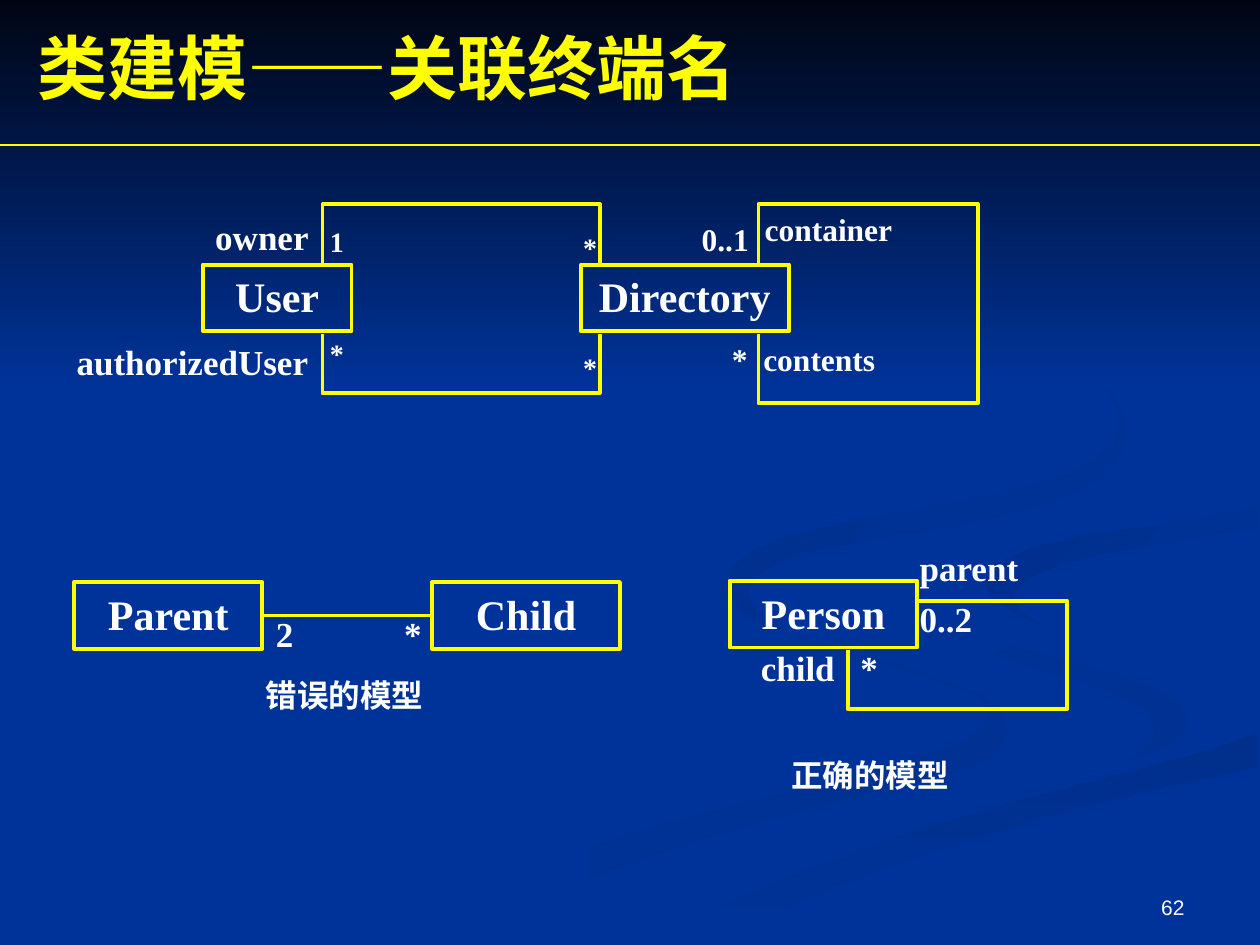
from lxml import etree
from pptx import Presentation
from pptx.dml.color import RGBColor
from pptx.enum import shapes, text
from pptx.oxml import ns
from pptx.util import Inches, Pt

BLUE = RGBColor(0x00, 0x33, 0x99)
NIGHT = RGBColor(0x00, 0x05, 0x14)
SHADE = RGBColor(0x00, 0x2F, 0x8C)
SOFT_SHADE = RGBColor(0x00, 0x31, 0x93)
YELLOW = RGBColor(0xFF, 0xFF, 0x00)
WHITE = RGBColor(0xFF, 0xFF, 0xFF)
SERIF = "Times New Roman"
SANS = "Arial"
CLASS_HEIGHT = 0.53

LOWER_SWIRL = [
    (7.81, 5.53), (7.57, 5.43), (7.15, 5.28), (6.61, 5.13), (6.26, 5.02), (6.02, 4.9),
    (5.83, 4.77), (5.75, 4.66), (5.75, 4.59), (5.7, 4.68), (5.76, 4.8), (5.93, 4.91),
    (6.31, 5.05), (6.97, 5.25), (7.41, 5.39), (7.76, 5.53), (7.85, 5.62), (7.83, 5.74),
    (7.67, 5.87), (7.39, 5.98), (6.84, 6.13), (5.79, 6.39), (4.99, 6.61), (4.17, 6.9),
    (3.38, 7.27), (3, 7.49), (3.61, 7.49), (4.31, 7.14), (4.99, 6.87), (5.64, 6.65),
    (6.51, 6.4), (7.4, 6.18), (7.8, 6.05), (7.95, 5.92), (8, 5.81), (7.95, 5.67)]
RIGHT_SWIRL = [
    (9.43, 5.7), (9.35, 5.57), (9.19, 5.47), (8.88, 5.35), (8.3, 5.19), (7.74, 5.03),
    (7.45, 4.9), (7.3, 4.79), (7.24, 4.64), (7.27, 4.79), (7.39, 4.94), (7.66, 5.12),
    (7.97, 5.24), (8.38, 5.36), (8.8, 5.49), (9.07, 5.62), (9.17, 5.76), (9.14, 5.89),
    (8.94, 6.05), (9.25, 5.93), (9.41, 5.81)]
BOTTOM_SWEEP = [
    (5.19, 7.47), (5.03, 7.49), (5.71, 7.49), (6, 7.33), (6.49, 7.1), (7.22, 6.82),
    (8.21, 6.51), (9.03, 6.3), (9.98, 6.09), (9.98, 5.81), (9.63, 5.94), (9.03, 6.1),
    (7.97, 6.38), (6.96, 6.69), (6.3, 6.93), (5.69, 7.19)]
CENTRE_WAVE = [
    (7.25, 4.64), (7.31, 4.79), (7.45, 4.9), (7.75, 5.03), (8.31, 5.19), (8.89, 5.35),
    (9.2, 5.47), (9.35, 5.57), (9.43, 5.7), (9.4, 5.83), (9.26, 5.93), (9.02, 6.03),
    (8.43, 6.18), (7.43, 6.43), (6.63, 6.68), (5.73, 7.03), (4.77, 7.49), (5.19, 7.47),
    (5.7, 7.19), (6.3, 6.93), (6.96, 6.69), (7.97, 6.38), (9.04, 6.1), (9.64, 5.94),
    (9.99, 5.81), (9.99, 5.38), (9.41, 5.27), (8.66, 5.09), (8.17, 4.92), (7.86, 4.73),
    (7.82, 4.6), (8, 4.42), (8.35, 4.3), (8.99, 4.18), (9.68, 4.09), (9.99, 4.02),
    (9.99, 3.87), (9.42, 3.99), (8.3, 4.15), (7.7, 4.27), (7.42, 4.39), (7.27, 4.54)]
EDGE_SWIRL = [
    (7.81, 4.6), (7.86, 4.74), (8.06, 4.87), (8.26, 4.96), (8.09, 4.84), (8.05, 4.72),
    (8.16, 4.59), (8.43, 4.48), (8.78, 4.39), (9.36, 4.29), (9.98, 4.2), (9.98, 4.02),
    (9.33, 4.15), (8.65, 4.24), (8.21, 4.34), (7.91, 4.47)]
UPPER_SWIRL = [
    (6.83, 4.3), (7.39, 4.21), (7.86, 4.12), (8.25, 4.02), (8.55, 3.91), (8.76, 3.78),
    (8.89, 3.62), (8.94, 3.44), (8.9, 3.24), (8.8, 3.07), (8.64, 2.91), (8.43, 2.75),
    (8.1, 2.56), (7.62, 2.33), (8.05, 2.54), (8.46, 2.79), (8.7, 2.99), (8.85, 3.2),
    (8.89, 3.35), (8.82, 3.54), (8.61, 3.7), (8.3, 3.82), (7.63, 3.98), (6.76, 4.14),
    (6.25, 4.26), (5.97, 4.37), (5.8, 4.51), (5.78, 4.68), (5.9, 4.84), (6.22, 5),
    (6.01, 4.85), (5.93, 4.7), (6.01, 4.56), (6.24, 4.44), (6.49, 4.36)]


def add_span(para, words, *, size, font=SERIF, color=WHITE, bold=True):
    span = para.add_run()
    span.text = words
    span.font.size = Pt(size)
    span.font.name = font
    span.font.bold = bold
    span.font.color.rgb = color


def write_text(box, *pieces, align=text.PP_ALIGN.LEFT, anchor=text.MSO_ANCHOR.TOP, **style):
    box.text_frame.word_wrap = True
    box.text_frame.vertical_anchor = anchor
    para = box.text_frame.paragraphs[0]
    para.alignment = align
    for words, font in pieces:
        add_span(para, words, font=font, **style)


def add_label(page, left, top, width, words, *, size=20, height=0.4):
    box = page.shapes.add_textbox(Inches(left), Inches(top), Inches(width), Inches(height))
    write_text(box, (words, SERIF), size=size)


def add_class(page, left, top, width, name):
    box = page.shapes.add_shape(shapes.MSO_SHAPE.RECTANGLE, Inches(left), Inches(top),
                                Inches(width), Inches(CLASS_HEIGHT))
    box.shadow.inherit = False
    box.fill.background()
    box.line.color.rgb = YELLOW
    box.line.width = Pt(2.25)
    write_text(box, (name, SERIF), size=24, align=text.PP_ALIGN.CENTER)
    return box


def add_outline(page, points, left=0, top=0, *, close):
    corners = [(Inches(left + x), Inches(top + y)) for x, y in points]
    builder = page.shapes.build_freeform(*corners[0])
    builder.add_line_segments(corners[1:], close=close)
    outline = builder.convert_to_shape()
    outline.shadow.inherit = False
    return outline


def add_loop(page, left, top, points):
    loop = add_outline(page, points, left, top, close=False)
    loop.fill.background()
    loop.line.color.rgb = YELLOW
    loop.line.width = Pt(2.25)


def add_line(page, left, top, right, width):
    line = page.shapes.add_connector(shapes.MSO_CONNECTOR.STRAIGHT, Inches(left), Inches(top),
                                     Inches(right), Inches(top))
    etree.SubElement(line._element.spPr, ns.qn("a:effectLst"))
    line.line.color.rgb = YELLOW
    line.line.width = Pt(width)
    return line


def paint(shape, start, end, angle):
    shape.line.fill.background()
    if start == end:
        shape.fill.solid()
        shape.fill.fore_color.rgb = start
        return
    shape.fill.gradient()
    shape.fill.gradient_angle = (360 - angle) % 360
    for stop, color in zip(shape.fill.gradient_stops, (start, end)):
        stop.color.rgb = color


def draw_backdrop(page, width, sky_height):
    page.background.fill.solid()
    page.background.fill.fore_color.rgb = BLUE
    for points, start, end, angle in [
            (LOWER_SWIRL, BLUE, SOFT_SHADE, 0), (RIGHT_SWIRL, BLUE, SOFT_SHADE, 45),
            (BOTTOM_SWEEP, SHADE, BLUE, 90), (CENTRE_WAVE, BLUE, BLUE, 0),
            (EDGE_SWIRL, SHADE, BLUE, 45), (UPPER_SWIRL, SHADE, BLUE, 45)]:
        paint(add_outline(page, points, close=True), start, end, angle)
    sky = page.shapes.add_shape(shapes.MSO_SHAPE.RECTANGLE, 0, 0, Inches(width), Inches(sky_height))
    sky.shadow.inherit = False
    paint(sky, NIGHT, BLUE, 90)


def draw_title(page, left, top, width, height):
    box = page.shapes.add_textbox(Inches(left), Inches(top), Inches(width), Inches(height))
    write_text(box, ("类建模", SERIF), ("——", SANS), ("关联终端名", SERIF),
               size=40, color=YELLOW, anchor=text.MSO_ANCHOR.MIDDLE)
    add_line(page, 0, 1.15, 10, 0.75)


def draw_page_number(page, left, top, width, height):
    box = page.shapes.add_textbox(Inches(left), Inches(top), Inches(width), Inches(height))
    write_text(box, ("62", SANS), size=12, bold=False,
               align=text.PP_ALIGN.RIGHT, anchor=text.MSO_ANCHOR.BOTTOM)


def draw_directory(page, left, top):
    add_class(page, left, top + 0.48, 1.65, "Directory")
    add_loop(page, left, top, [(1.41, 0.48), (1.41, 0), (3.15, 0), (3.15, 1.58),
                               (1.41, 1.58), (1.41, 1.03)])
    for x, y, width, words in [(1.36, 0, 1.26, "container"), (1.35, 1.03, 1.26, "contents"),
                               (1.1, 1.03, 0.39, "*"), (0.86, 0.08, 0.63, "0..1")]:
        add_label(page, left + x, top + y, width, words, size=18)


def draw_user(page, left, top):
    add_class(page, left + 1.1, top + 0.48, 1.18, "User")
    for inner, outer in [(0.48, 0), (1.03, 1.5)]:
        add_loop(page, left, top, [(2.05, inner), (2.05, outer), (4.25, outer), (4.25, inner)])
    for x, y, words in [(4.02, 0.16, "*"), (4.02, 1.11, "*"), (2.01, 0.11, "1"), (2.01, 1, "*")]:
        add_label(page, left + x, top + y, 0.31, words, size=16, height=0.37)
    add_label(page, left + 1.1, top + 0.04, 1.1, "owner")
    add_label(page, left, top + 1.03, 2.13, "authorizedUser")


def draw_wrong_model(page, left, top):
    parent = add_class(page, left, top, 1.49, "Parent")
    child = add_class(page, left + 2.84, top, 1.49, "Child")
    link = add_line(page, left + 1.49, top + CLASS_HEIGHT / 2, left + 2.84, 2.25)
    link.begin_connect(parent, 3)
    link.end_connect(child, 1)
    add_label(page, left + 1.5, top + 0.19, 0.39, "2")
    add_label(page, left + 2.52, top + 0.19, 0.39, "*")
    add_label(page, left + 1.42, top + 0.7, 1.57, "错误的模型", size=18)


def draw_correct_model(page, left, top):
    add_class(page, left, top + 0.32, 1.49, "Person")
    add_loop(page, left, top, [(0.94, 0.87), (0.94, 1.34), (2.68, 1.34), (2.68, 0.48), (1.49, 0.48)])
    for x, y, width, words in [(0.94, 0.79, 0.39, "*"), (1.41, 0.4, 0.71, "0..2"),
                               (1.41, 0, 1.1, "parent"), (0.15, 0.79, 0.87, "child")]:
        add_label(page, left + x, top + y, width, words)
    add_label(page, left + 0.39, top + 1.66, 1.57, "正确的模型", size=18)


def main():
    deck = Presentation()
    deck.slide_width, deck.slide_height = Inches(10), Inches(7.5)
    page = deck.slides.add_slide(deck.slide_layouts[6])
    draw_backdrop(page, 10, 3.08)
    draw_page_number(page, 7.17, 6.83, 2.33, 0.52)
    draw_title(page, 0.2, 0.14, 9, 0.77)
    draw_directory(page, 4.61, 1.62)
    draw_user(page, 0.51, 1.62)
    draw_wrong_model(page, 0.59, 4.62)
    draw_correct_model(page, 5.79, 4.29)
    deck.save("out.pptx")


if __name__ == "__main__":
    main()
